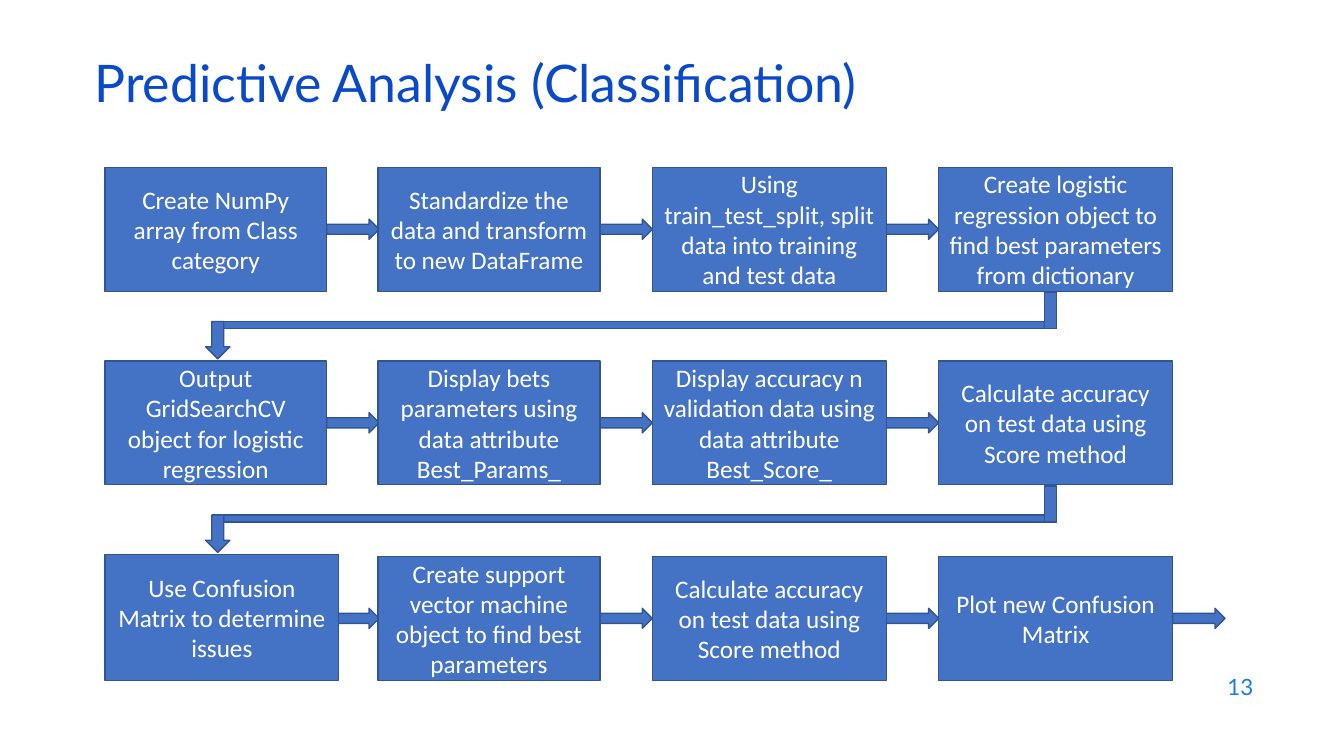
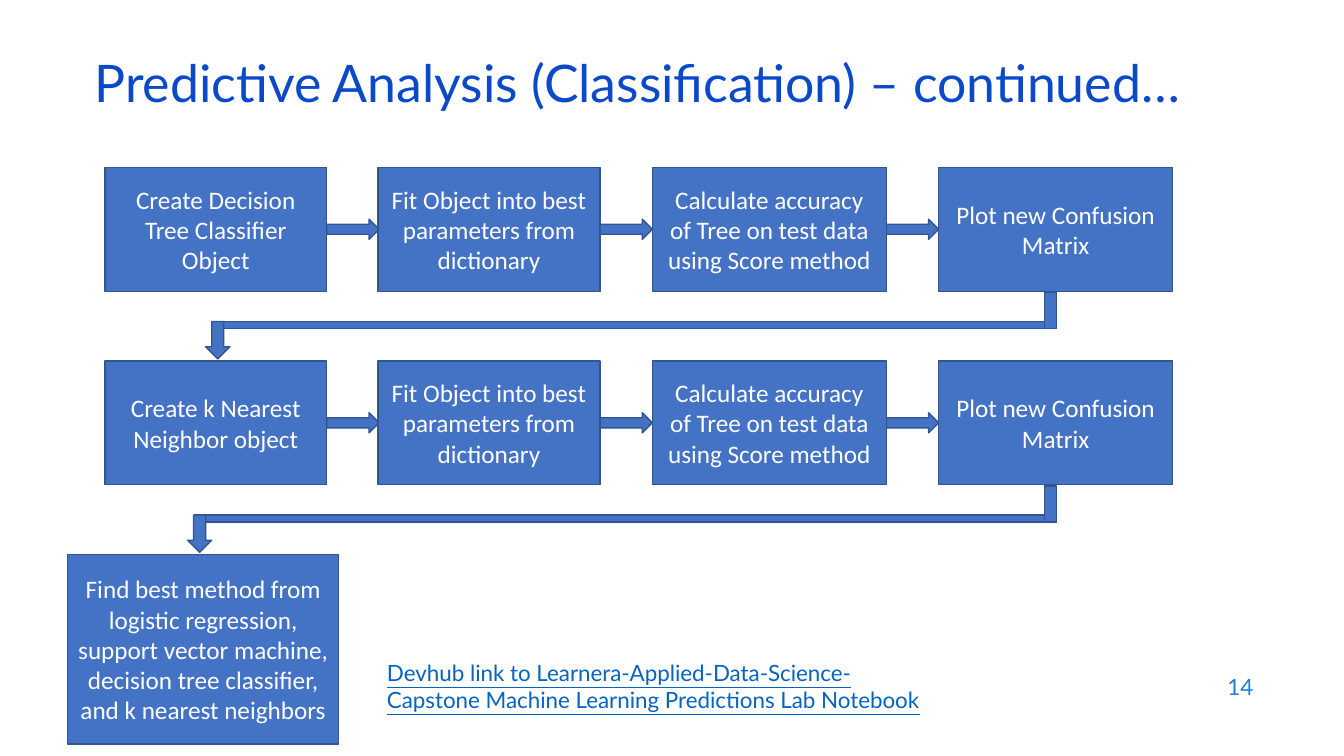
from pptx import Presentation
from pptx.dml.color import RGBColor
from pptx.enum import shapes, text
from pptx.util import Inches, Pt

FILL, EDGE, WHITE = "4472C4", "325491", "FFFFFF"
TITLE, NUMBER, LINK = "0B49CB", "1C7DDB", "0563C1"
KIND = shapes.MSO_SHAPE
ALIGN = text.PP_ALIGN
COLS = [(1.04, 2.2), (3.75, 2.2), (6.47, 2.32), (9.31, 2.32)]
TOPS = [1.66, 3.58, 5.52]
HIGH = 1.23
GAP = 0.52
DECK = [
    {
        "title": "Predictive Analysis (Classification)",
        "number": "13",
        "rows": [
            ["Create NumPy array from Class category",
             "Standardize the data and transform to new DataFrame",
             "Using train_test_split, split data into training and test data",
             "Create logistic regression object to find best parameters from dictionary"],
            ["Output GridSearchCV object for logistic regression",
             "Display bets parameters using data attribute Best_Params_",
             "Display accuracy n validation data using data attribute Best_Score_",
             "Calculate accuracy on test data using Score method"],
            ["Use Confusion Matrix to determine issues",
             "Create support vector machine object to find best parameters",
             "Calculate accuracy on test data using Score method",
             "Plot new Confusion Matrix"],
        ],
        "last": (1.04, 5.5, 2.32, 1.25),
        "turns": [2.16, 2.16],
        "onward": True,
    },
    {
        "title": "Predictive Analysis (Classification) – continued…",
        "number": "14",
        "rows": [
            ["Create Decision Tree Classifier Object",
             "Fit Object into best parameters from dictionary",
             "Calculate accuracy of Tree on test data using Score method",
             "Plot new Confusion Matrix"],
            ["Create k Nearest Neighbor object",
             "Fit Object into best parameters from dictionary",
             "Calculate accuracy of Tree on test data using Score method",
             "Plot new Confusion Matrix"],
            ["Find best method from logistic regression, support vector machine, "
             "decision tree classifier, and k nearest neighbors"],
        ],
        "last": (0.67, 5.5, 2.69, 1.88),
        "turns": [2.16, 1.98],
        "link": "Devhub link to Learnera-Applied-Data-Science-Capstone "
                "Machine Learning Predictions Lab Notebook",
    },
]


def color(code):
    return RGBColor.from_string(code)


def write(frame, words, size, font, code, align):
    frame.word_wrap = True
    frame.vertical_anchor = text.MSO_ANCHOR.MIDDLE
    para = frame.paragraphs[0]
    para.text = words
    para.alignment = align
    para.font.size = Pt(size)
    para.font.name = font
    para.font.color.rgb = color(code)
    return para


def label(slide, box, words, size, code, align=ALIGN.LEFT):
    frame = slide.shapes.add_textbox(*map(Inches, box)).text_frame
    return frame, write(frame, words, size, "Lato", code, align)


def block(slide, kind, box, words=None):
    shape = slide.shapes.add_shape(kind, *map(Inches, box))
    shape.shadow.inherit = False
    shape.fill.solid()
    shape.fill.fore_color.rgb = color(FILL)
    shape.line.color.rgb = color(EDGE)
    shape.line.width = Pt(1)
    if words:
        write(shape.text_frame, words, 18, "Calibri", WHITE, ALIGN.CENTER)


def arrow(slide, col, top):
    left, wide = COLS[col]
    block(slide, KIND.RIGHT_ARROW, (left + wide, top + HIGH / 2 - 0.1, GAP, 0.2))


def turn(slide, top, mid):
    bend = top + 1.53
    post = 10.36
    edge = mid - 0.05
    block(slide, KIND.FLOWCHART_PROCESS, (edge, bend, post + 0.12 - edge, 0.07))
    block(slide, KIND.DOWN_ARROW, (mid - 0.12, bend, 0.24, 0.37))
    block(slide, KIND.FLOWCHART_PROCESS, (post, top + 1.24, 0.12, 0.36))


def draw(slide, page):
    para = label(slide, (0.84, 0.59, 11.5, 0.6), page["title"], 37, TITLE)[1]
    para.line_spacing = 0.7
    label(slide, (9.53, 6.59, 3, 0.44), page["number"], 16, NUMBER, ALIGN.RIGHT)
    for top, mid in zip(TOPS, page["turns"]):
        turn(slide, top, mid)
    for row, (top, steps) in enumerate(zip(TOPS, page["rows"])):
        for col in range(len(steps) - 1):
            arrow(slide, col, top)
        for col, words in enumerate(steps):
            left, wide = COLS[col]
            box = (left, top, wide, HIGH)
            if (row, col) == (2, 0):
                box = page["last"]
            block(slide, KIND.FLOWCHART_PROCESS, box, words)
    if page.get("onward"):
        arrow(slide, 3, TOPS[2])
    if "link" in page:
        frame, para = label(slide, (3.74, 6.49, 5.54, 0.83), page["link"], 16, LINK)
        frame.vertical_anchor = text.MSO_ANCHOR.TOP
        para.font.underline = True


def main():
    deck = Presentation()
    deck.slide_width, deck.slide_height = Inches(13.33), Inches(7.5)
    for page in DECK:
        draw(deck.slides.add_slide(deck.slide_layouts[6]), page)
    deck.save("out.pptx")


if __name__ == "__main__":
    main()
